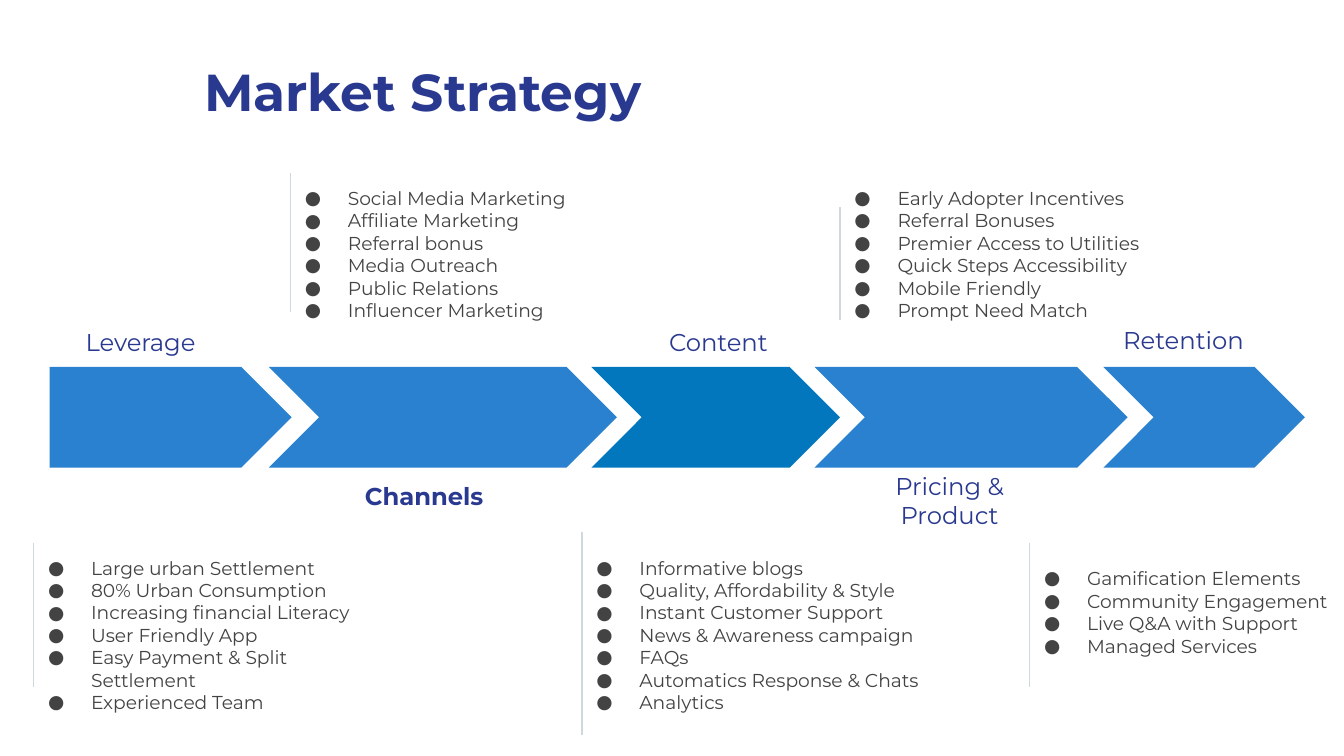
from dataclasses import dataclass

from lxml.etree import SubElement
from pptx import Presentation
from pptx.dml.color import RGBColor as Rgb
from pptx.enum.shapes import MSO_CONNECTOR as Connector, MSO_SHAPE as Shape
from pptx.enum.text import MSO_ANCHOR as Anchor, PP_ALIGN as Align
from pptx.oxml.ns import qn
from pptx.util import Inches, Pt


@dataclass(frozen=True)
class Theme:
    font: str = "Montserrat"
    heading: str = "2A3990"
    body: str = "434343"
    arrow: str = "2A81D0"
    accent: str = "0277BD"
    rule: str = "CFD8DC"
    title_size: float = 27.8
    label_size: float = 13
    body_size: float = 10
    rule_width: float = 0.75


class StrategySlide:
    """Draws the elements of a process slide in one theme."""

    def __init__(self, slide, theme):
        self.slide = slide
        self.theme = theme

    def frame(self, left, top, width, height, anchor=Anchor.TOP):
        box = self.slide.shapes.add_textbox(*map(Inches, (left, top, width, height)))
        frame = box.text_frame
        frame.word_wrap = True
        frame.vertical_anchor = anchor
        frame.margin_left = frame.margin_right = Inches(0.1)
        frame.margin_top = frame.margin_bottom = Inches(0.1)
        return frame

    def run(self, paragraph, text, size, color, bold=False):
        run = paragraph.add_run()
        run.text = text
        run.font.name = self.theme.font
        run.font.size = Pt(size)
        run.font.bold = bold
        run.font.color.rgb = Rgb.from_string(color)

    def title(self, text, left, top, width, height):
        paragraph = self.frame(left, top, width, height).paragraphs[0]
        paragraph.line_spacing = 0.8
        self.run(paragraph, text, self.theme.title_size, self.theme.heading, True)

    def label(self, text, left, top, height=0.32, bold=False):
        paragraph = self.frame(left, top, 1.21, height, Anchor.MIDDLE).paragraphs[0]
        paragraph.alignment = Align.CENTER
        self.run(paragraph, text, self.theme.label_size, self.theme.heading, bold)

    def arrow(self, shapes, kind, left, width, color):
        arrow = shapes.add_shape(kind, *map(Inches, (left, 2.73, width, 0.75)))
        arrow.adjustments[0] = 0.5
        arrow.shadow.inherit = False
        arrow.fill.solid()
        arrow.fill.fore_color.rgb = Rgb.from_string(color)
        arrow.line.fill.background()

    def rule(self, x, top, bottom):
        rule = self.slide.shapes.add_connector(
            Connector.STRAIGHT, *map(Inches, (x, top, x, bottom)))
        rule.line.color.rgb = Rgb.from_string(self.theme.rule)
        rule.line.width = Pt(self.theme.rule_width)
        SubElement(rule._element.spPr, qn("a:effectLst"))

    def bullets(self, items, left, top, width, height):
        frame = self.frame(left, top, width, height)
        for index, item in enumerate(items):
            paragraph = frame.add_paragraph() if index else frame.paragraphs[0]
            properties = paragraph._p.get_or_add_pPr()
            properties.set("marL", str(Inches(0.5)))
            properties.set("indent", str(Inches(-0.32)))
            bullet_color = SubElement(properties, qn("a:buClr"))
            SubElement(bullet_color, qn("a:srgbClr"), val=self.theme.body)
            SubElement(properties, qn("a:buFont"), typeface=self.theme.font)
            SubElement(properties, qn("a:buChar"), char="●")
            self.run(paragraph, item, self.theme.body_size, self.theme.body)


LABELS = [
    ("Leverage", 0.44, 2.38, 0.32, False),
    ("Channels", 2.55, 3.53, 0.32, True),
    ("Content", 4.74, 2.38, 0.32, False),
    ("Pricing & Product", 6.46, 3.48, 0.48, False),
    ("Retention", 8.2, 2.37, 0.32, False),
]
DETAILS = [
    ((0.08, 4.04, 2.8, 1.43), (4.04, 5.11), [
        "Large urban Settlement", "80% Urban Consumption",
        "Increasing financial Literacy", "User Friendly App",
        "Easy Payment & Split Settlement", "Experienced Team"]),
    ((1.99, 1.29, 2.59, 1.31), (1.29, 2.32), [
        "Social Media Marketing", "Affiliate Marketing", "Referral bonus",
        "Media Outreach", "Public Relations", "Influencer Marketing"]),
    ((4.16, 4.04, 3.06, 1.52), (3.96, 5.47), [
        "Informative blogs", "Quality, Affordability & Style",
        "Instant Customer Support", "News & Awareness campaign", "FAQs",
        "Automatics Response & Chats", "Analytics"]),
    ((6.08, 1.29, 2.96, 1.24), (1.54, 2.38), [
        "Early Adopter Incentives", "Referral Bonuses",
        "Premier Access to Utilities", "Quick Steps Accessibility",
        "Mobile Friendly", "Prompt Need Match"]),
    ((7.49, 4.12, 2.59, 0.84), (4.04, 5.11), [
        "Gamification Elements", "Community Engagement",
        "Live Q&A with Support", "Managed Services"]),
]
CHEVRONS = [(2, 2.59), (6.06, 2.33), (8.21, 1.5)]
RULE_OFFSET = 0.17


def main():
    deck = Presentation()
    deck.slide_width = Inches(10)
    deck.slide_height = deck.slide_width * 9 // 16
    theme = Theme()
    strategy = StrategySlide(deck.slides.add_slide(deck.slide_layouts[6]), theme)

    strategy.title("Market Strategy", 1.42, 0.43, 3.81, 0.59)
    process = strategy.slide.shapes.add_group_shape().shapes
    strategy.arrow(process, Shape.PENTAGON, 0.37, 1.8, theme.arrow)
    for left, width in CHEVRONS:
        strategy.arrow(process, Shape.CHEVRON, left, width, theme.arrow)
    strategy.arrow(strategy.slide.shapes, Shape.CHEVRON, 4.4, 1.85, theme.accent)

    for label, (area, (rule_top, rule_bottom), items) in zip(LABELS, DETAILS):
        strategy.label(*label)
        strategy.rule(area[0] + RULE_OFFSET, rule_top, rule_bottom)
        strategy.bullets(items, *area)

    deck.save("out.pptx")


if __name__ == "__main__":
    main()
